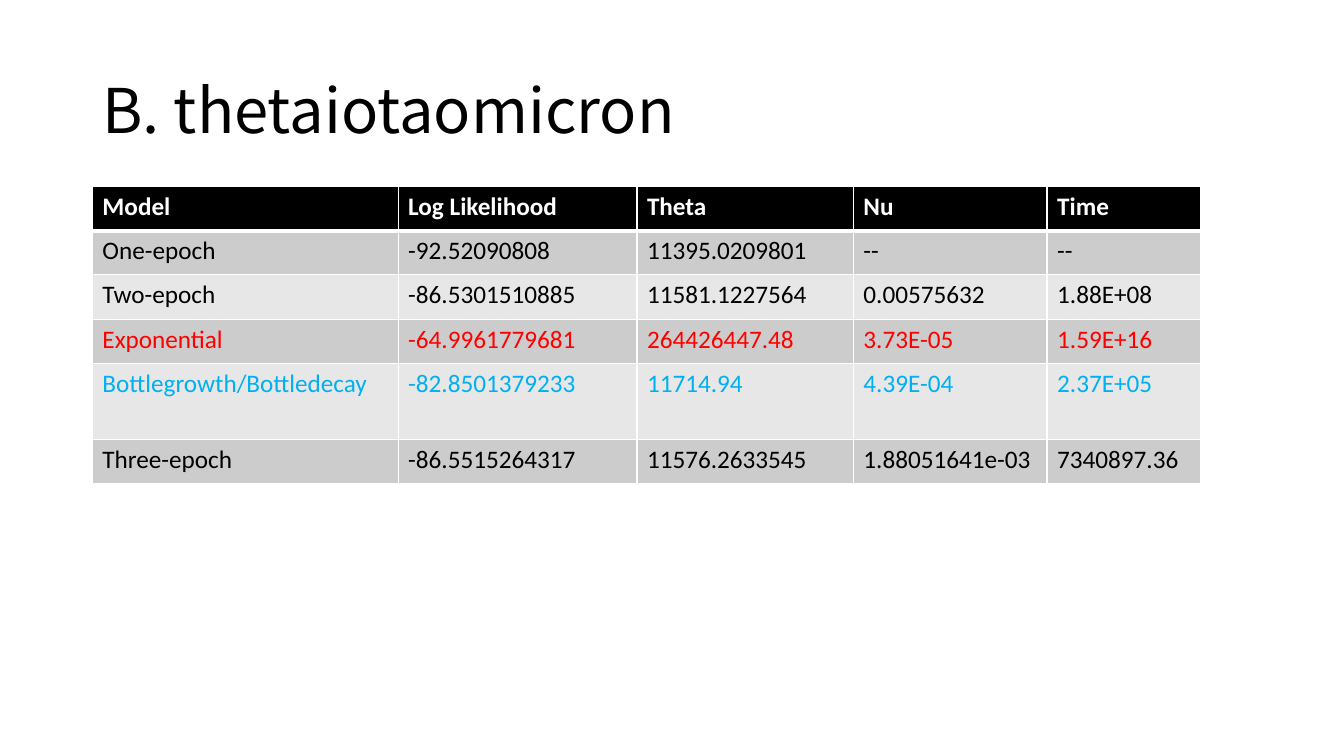
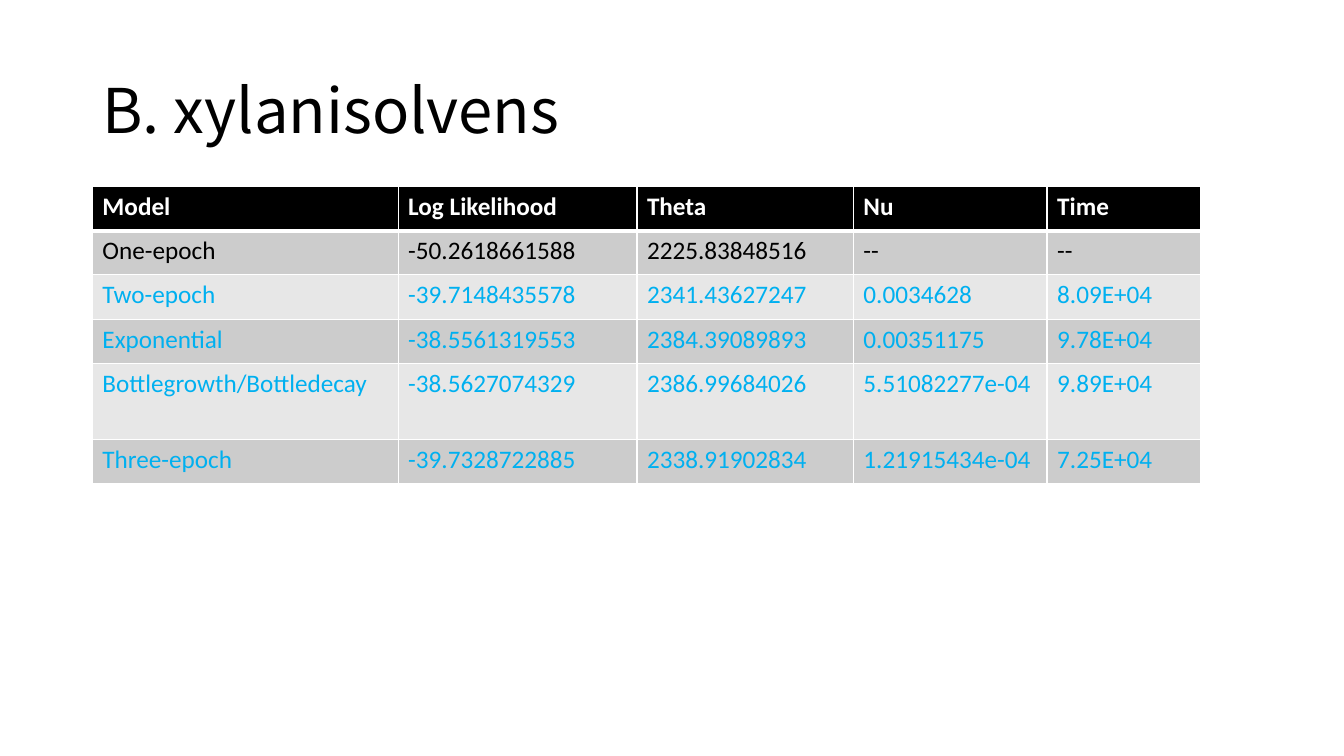
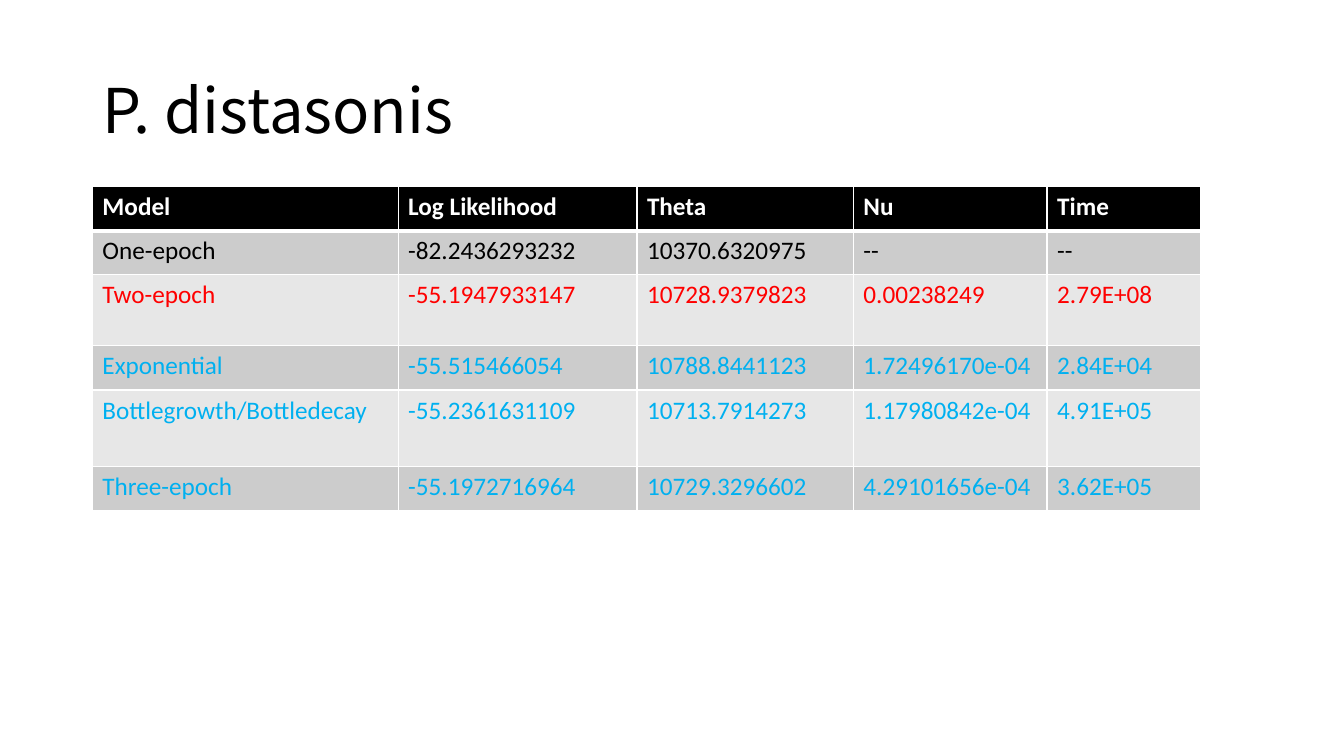
import dataclasses

import lxml.etree
import pptx
import pptx.dml.color
import pptx.enum.text
import pptx.oxml.ns
import pptx.util

Pt = pptx.util.Pt


@dataclasses.dataclass(frozen=True)
class Theme:
    black: str = "000000"
    white: str = "FFFFFF"
    red: str = "FF0000"
    blue: str = "00B0F0"
    bands: tuple = ("CCCCCC", "E7E7E7")
    head: str = "Noto Sans CJK JP"
    body: str = "Calibri"
    big: int = 44
    small: int = 18
    thin: int = 1
    thick: int = 3


THEME = Theme()
SIZE = (960, 540)
TITLE = (66, 28.75, 828, 104.4)
TABLE = (66, 133.2, 792, 212.7)
COLS = (218.4, 170.6, 154.6, 138.4, 110)
LOW, MID, TALL = 31.6, 50.7, 54.7
HEADS = ("Model", "Log Likelihood", "Theta", "Nu", "Time")
MODELS = ("One-epoch", "Two-epoch", "Exponential",
          "Bottlegrowth/Bottledecay", "Three-epoch")

PAGES = (
    ("B. thetaiotaomicron", LOW, (
        (THEME.black, "-92.52090808", "11395.0209801", "--", "--"),
        (THEME.black, "-86.5301510885", "11581.1227564", "0.00575632", "1.88E+08"),
        (THEME.red, "-64.9961779681", "264426447.48", "3.73E-05", "1.59E+16"),
        (THEME.blue, "-82.8501379233", "11714.94", "4.39E-04", "2.37E+05"),
        (THEME.black, "-86.5515264317", "11576.2633545", "1.88051641e-03", "7340897.36"),
    )),
    ("B. xylanisolvens", LOW, (
        (THEME.black, "-50.2618661588", "2225.83848516", "--", "--"),
        (THEME.blue, "-39.7148435578", "2341.43627247", "0.0034628", "8.09E+04"),
        (THEME.blue, "-38.5561319553", "2384.39089893", "0.00351175", "9.78E+04"),
        (THEME.blue, "-38.5627074329", "2386.99684026", "5.51082277e-04", "9.89E+04"),
        (THEME.blue, "-39.7328722885", "2338.91902834", "1.21915434e-04", "7.25E+04"),
    )),
    ("P. distasonis", MID, (
        (THEME.black, "-82.2436293232", "10370.6320975", "--", "--"),
        (THEME.red, "-55.1947933147", "10728.9379823", "0.00238249", "2.79E+08"),
        (THEME.blue, "-55.515466054", "10788.8441123", "1.72496170e-04", "2.84E+04"),
        (THEME.blue, "-55.2361631109", "10713.7914273", "1.17980842e-04", "4.91E+05"),
        (THEME.blue, "-55.1972716964", "10729.3296602", "4.29101656e-04", "3.62E+05"),
    )),
)


def paint(hue):
    return pptx.dml.color.RGBColor.from_string(hue)


def write(para, text, face, size, hue, bold=False):
    run = para.add_run()
    run.text = text
    font = run.font
    font.name, font.size, font.bold = face, Pt(size), bold
    font.color.rgb = paint(hue)


def edge(cell, side, width):
    name = pptx.oxml.ns.qn
    props = cell._tc.get_or_add_tcPr()
    line = lxml.etree.SubElement(props, name("a:ln" + side), w=str(Pt(width)))
    fill = lxml.etree.SubElement(line, name("a:solidFill"))
    lxml.etree.SubElement(fill, name("a:srgbClr"), val=THEME.white)


def draw_title(slide, box, text):
    title = slide.shapes.title
    title.left, title.top, title.width, title.height = map(Pt, box)
    frame = title.text_frame
    frame.word_wrap = True
    frame.vertical_anchor = pptx.enum.text.MSO_ANCHOR.MIDDLE
    para = frame.paragraphs[0]
    para.alignment = pptx.enum.text.PP_ALIGN.LEFT
    para.line_spacing = 0.9
    write(para, text, THEME.head, THEME.big, THEME.black)


def draw_cell(cell, row, text, hue):
    head = row == 0
    edge(cell, "L", THEME.thin)
    edge(cell, "R", THEME.thin)
    edge(cell, "T", THEME.thick if row == 1 else THEME.thin)
    edge(cell, "B", THEME.thick if head else THEME.thin)
    cell.fill.solid()
    cell.fill.fore_color.rgb = paint(THEME.black if head else THEME.bands[(row - 1) % 2])
    write(cell.text_frame.paragraphs[0], text, THEME.body, THEME.small, hue, head)


def draw_table(slide, box, second, data):
    rows = [(THEME.white, *HEADS)]
    rows += [(hue, model, *vals) for model, (hue, *vals) in zip(MODELS, data)]
    table = slide.shapes.add_table(len(rows), len(COLS), *map(Pt, box)).table
    table.first_row = table.horz_banding = False
    for col, width in zip(table.columns, COLS):
        col.width = Pt(width)
    for row, high in zip(table.rows, (LOW, LOW, second, LOW, TALL, LOW)):
        row.height = Pt(high)
    for row, (hue, *texts) in enumerate(rows):
        for col, text in enumerate(texts):
            draw_cell(table.cell(row, col), row, text, hue)


def main():
    deck = pptx.Presentation()
    deck.slide_width, deck.slide_height = map(Pt, SIZE)
    for name, second, data in PAGES:
        slide = deck.slides.add_slide(deck.slide_layouts.get_by_name("Title Only"))
        draw_title(slide, TITLE, name)
        draw_table(slide, TABLE, second, data)
    deck.save("out.pptx")


if __name__ == "__main__":
    main()
